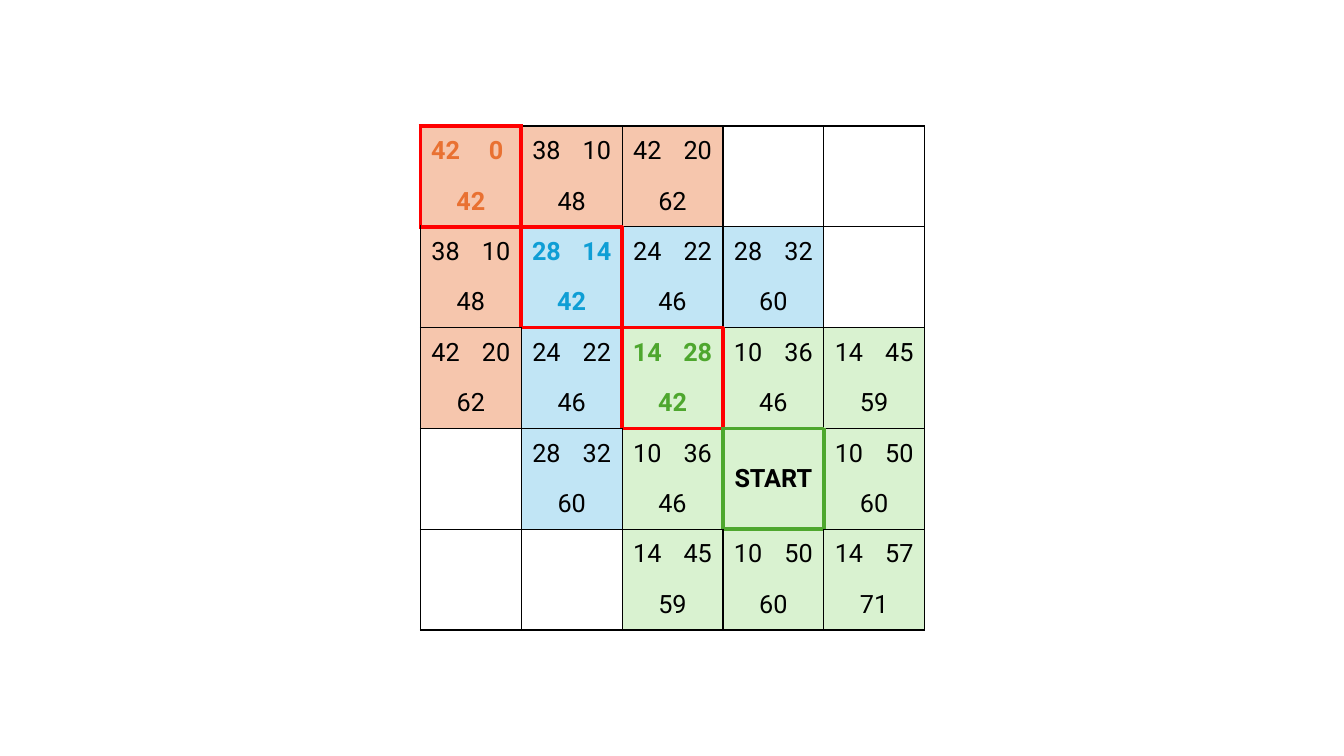
from pptx import Presentation
from pptx.dml.color import RGBColor
from pptx.enum.text import MSO_ANCHOR, PP_ALIGN
from pptx.oxml.ns import qn
from pptx.util import Inches, Pt
from lxml.etree import SubElement

SIZE = 5
FONT = "Roboto"
BLACK, RED, GREEN = "000000", "FF0000", "4EA72E"
NO_GRID_STYLE = "{2D5ABB26-0587-4C30-8999-92F81FD0307C}"

# Area letter: (tile fill, accent text)
AREAS = {
    "O": ("F6C6AD", "E97132"),
    "B": ("C1E5F5", "0F9ED5"),
    "G": ("D9F2D0", GREEN),
}
# Area letter and the two costs; their sum goes below them
TILES = [
    [("O", 42, 0), ("O", 38, 10), ("O", 42, 20), None, None],
    [("O", 38, 10), ("B", 28, 14), ("B", 24, 22), ("B", 28, 32), None],
    [("O", 42, 20), ("B", 24, 22), ("G", 14, 28), ("G", 10, 36), ("G", 14, 45)],
    [None, ("B", 28, 32), ("G", 10, 36), None, ("G", 10, 50)],
    [None, None, ("G", 14, 45), ("G", 10, 50), ("G", 14, 57)],
]
START = (3, 3)
OUTLINES = {(0, 0): RED, (1, 1): RED, (2, 2): RED, START: GREEN}
# Border tag: step to the neighbouring tile, in the order the schema needs
SIDES = {"a:lnL": (0, -1), "a:lnR": (0, 1), "a:lnT": (-1, 0), "a:lnB": (1, 0)}


def rgb(value):
    return RGBColor.from_string(value)


def add_border(cell, tag, color, width):
    line = SubElement(cell._tc.get_or_add_tcPr(), qn(tag), w=str(Pt(width)))
    fill = SubElement(line, qn("a:solidFill"))
    SubElement(fill, qn("a:srgbClr"), val=color)


def hide_border(cell, tag):
    line = SubElement(cell._tc.get_or_add_tcPr(), qn(tag))
    SubElement(line, qn("a:noFill"))


def border_tile(cells, row, column):
    """Draw only the tile's outer edges; a highlighted neighbour decides a shared edge."""
    for (down, across), cell in cells.items():
        touching = {
            "a:lnL": across == 0,
            "a:lnR": across + cell.span_width == 2,
            "a:lnT": down == 0,
            "a:lnB": down + cell.span_height == 2,
        }
        for tag, (row_step, column_step) in SIDES.items():
            if touching[tag]:
                neighbour = (row + row_step, column + column_step)
                color = OUTLINES.get((row, column)) or OUTLINES.get(neighbour)
                add_border(cell, tag, color or BLACK, 3 if color else 1)
            else:
                hide_border(cell, tag)


def write_cell(cell, text, color, bold):
    cell.vertical_anchor = MSO_ANCHOR.MIDDLE
    cell.margin_left = cell.margin_right = 0
    para = cell.text_frame.paragraphs[0]
    para.alignment = PP_ALIGN.CENTER
    span = para.add_run()
    span.text = str(text)
    span.font.name = FONT
    span.font.size = Pt(18)
    span.font.bold = bold
    span.font.color.rgb = rgb(color)


def fill_tile(cells, color):
    for cell in cells.values():
        cell.fill.solid()
        cell.fill.fore_color.rgb = rgb(color)


def add_tile(table, row, column):
    cells = {
        (down, across): table.cell(2 * row + down, 2 * column + across)
        for down in range(2)
        for across in range(2)
    }
    is_start = (row, column) == START
    cells[0 if is_start else 1, 0].merge(cells[1, 1])
    border_tile(cells, row, column)

    tile = TILES[row][column]
    if is_start:
        fill_tile(cells, AREAS["G"][0])
        write_cell(cells[0, 0], "START", BLACK, True)
    elif tile:
        area, first, second = tile
        fill, accent = AREAS[area]
        fill_tile(cells, fill)
        on_route = (row, column) in OUTLINES
        color = accent if on_route else BLACK
        write_cell(cells[0, 0], first, color, on_route)
        write_cell(cells[0, 1], second, color, on_route)
        write_cell(cells[1, 0], first + second, color, on_route)


def add_grid(page):
    frame = page.shapes.add_table(
        2 * SIZE, 2 * SIZE, Inches(4.17), Inches(1.25), Inches(SIZE), Inches(SIZE)
    )
    table = frame.table
    table.first_row = table.horz_banding = False
    table._tbl.tblPr.find(qn("a:tableStyleId")).text = NO_GRID_STYLE
    for row in range(SIZE):
        for column in range(SIZE):
            add_tile(table, row, column)


def main():
    deck = Presentation()
    deck.slide_width, deck.slide_height = Inches(13.33), Inches(7.5)
    page = deck.slides.add_slide(deck.slide_layouts[6])
    add_grid(page)
    deck.save("out.pptx")


if __name__ == "__main__":
    main()
